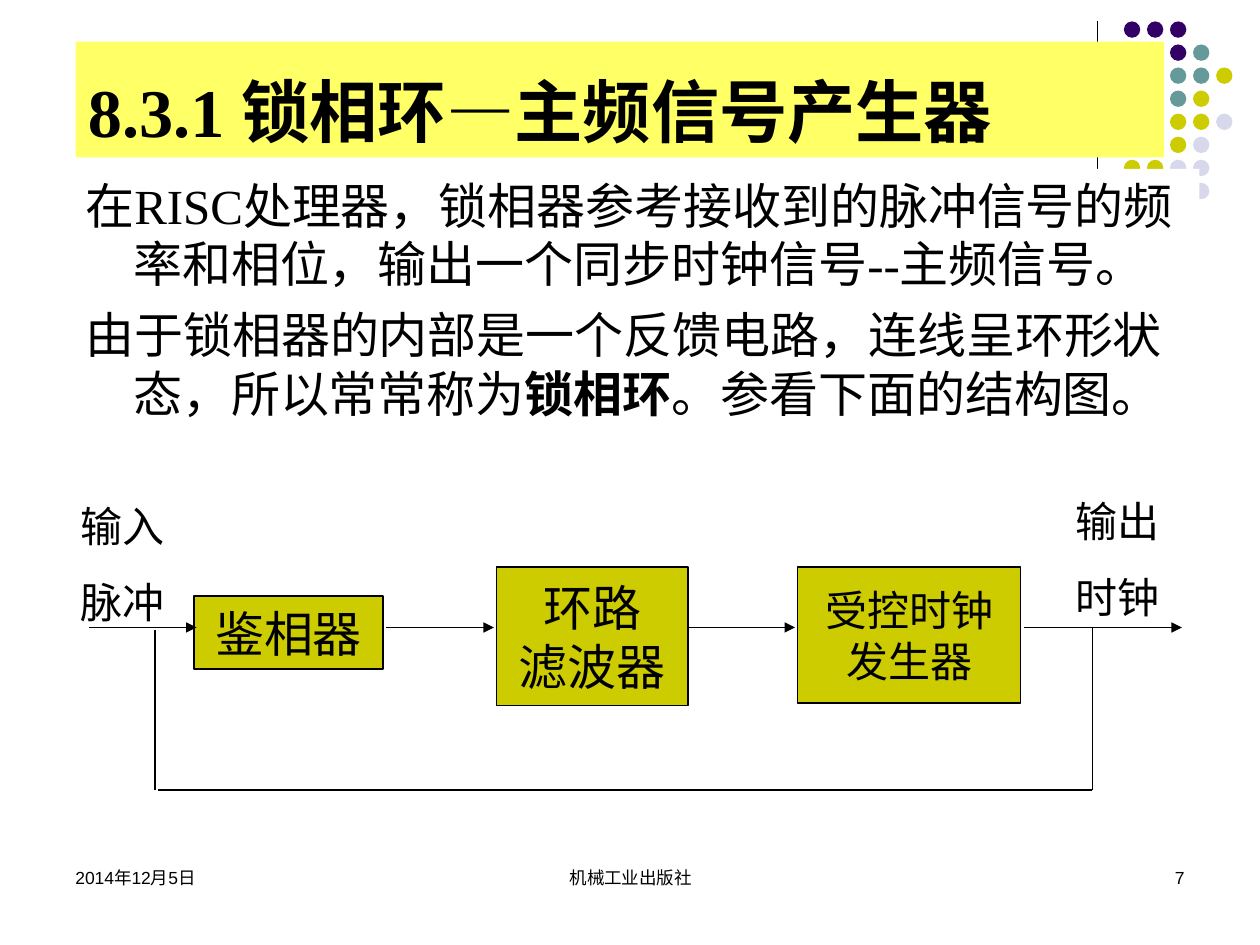
from pptx import Presentation
from pptx.dml.color import RGBColor
from pptx.enum.lang import MSO_LANGUAGE_ID
from pptx.enum.shapes import MSO_CONNECTOR, MSO_SHAPE
from pptx.enum.text import MSO_ANCHOR, PP_ALIGN
from pptx.oxml.ns import qn
from pptx.util import Inches, Pt
from lxml.etree import SubElement

BLACK, WHITE, YELLOW, OLIVE = "000000", "FFFFFF", "FFFF66", "CCCC00"
DOT_COLORS = {"P": "330066", "T": "669999", "Y": OLIVE, "L": "D8D8EC"}
DOT_ROWS = ["PPP..", "PPPT.", ".PTTY", ".TTY.", ".TYYL", ".YYL.", "YYLL.", "...L."]
FLOW_Y, RETURN_Y = 4.98, 6.27
SERIF = "Times New Roman"


def rgb(color):
    return RGBColor.from_string(color)


def set_attrs(target, values):
    for name, value in values.items():
        setattr(target, name, value)


def add_text(sp, paragraphs, size, font="Arial", align=PP_ALIGN.LEFT,
             anchor=MSO_ANCHOR.TOP, bold=False, wrap=True, gap=0, hanging=0):
    """Each paragraph is a list of runs; each run is (text, bold) or plain text."""
    tf = sp.text_frame
    set_attrs(tf, {"word_wrap": wrap, "vertical_anchor": anchor})
    for i, runs in enumerate(paragraphs):
        p = tf.paragraphs[0] if i == 0 else tf.add_paragraph()
        p.alignment = align
        if i and gap:
            p.space_before = Pt(gap)
        if hanging:
            pPr = p._p.get_or_add_pPr()
            pPr.set("marL", str(Inches(hanging)))
            pPr.set("indent", str(-Inches(hanging)))
            pPr.set("hangingPunct", "0")  # keep punctuation inside the margin
        for run in runs:
            text, run_bold = run if isinstance(run, tuple) else (run, bold)
            r = p.add_run()
            r.text = text
            set_attrs(r.font, {"size": Pt(size), "name": font, "bold": run_bold,
                               "language_id": MSO_LANGUAGE_ID.SIMPLIFIED_CHINESE})
            r.font.color.rgb = rgb(BLACK)


def add_shape(s, x, y, w, h, fill, kind=MSO_SHAPE.RECTANGLE, line=None):
    sp = s.shapes.add_shape(kind, Inches(x), Inches(y), Inches(w), Inches(h))
    sp.shadow.inherit = False
    sp.fill.solid()
    sp.fill.fore_color.rgb = rgb(fill)
    if line:
        sp.line.color.rgb = rgb(line)
        sp.line.width = Pt(0.75)
    else:
        sp.line.fill.background()
    return sp


def add_textbox(s, x, y, w, h, paragraphs, size, **fmt):
    sp = s.shapes.add_textbox(Inches(x), Inches(y), Inches(w), Inches(h))
    add_text(sp, paragraphs, size, **fmt)


def add_line(s, x1, y1, x2, y2, width=1, arrow=False):
    cx = s.shapes.add_connector(MSO_CONNECTOR.STRAIGHT, Inches(x1), Inches(y1),
                                Inches(x2), Inches(y2))
    cx.line.color.rgb = rgb(BLACK)
    cx.line.width = Pt(width)
    if arrow:
        SubElement(cx.line._get_or_add_ln(), qn("a:tailEnd"), type="triangle")
    SubElement(cx._element.spPr, qn("a:effectLst"))


def add_dots(s):
    for row, marks in enumerate(DOT_ROWS):
        for col, mark in enumerate(marks):
            if mark in DOT_COLORS:
                add_shape(s, 8.92 + col * 0.183, 0.17 + row * 0.183, 0.13, 0.13,
                          DOT_COLORS[mark], MSO_SHAPE.OVAL)


def add_diagram(s):
    # Processing blocks
    blocks = [
        (1.54, 4.73, 1.5, 0.58, ["鉴相器"], 28),
        (3.94, 4.5, 1.52, 1.1, ["环路", "滤波器"], 28),
        (6.33, 4.5, 1.77, 1.08, ["受控时钟", "发生器"], 24),
    ]
    for x, y, w, h, lines, size in blocks:
        sp = add_shape(s, x, y, w, h, OLIVE, line=BLACK)
        add_text(sp, [[line] for line in lines], size, align=PP_ALIGN.CENTER,
                 anchor=MSO_ANCHOR.MIDDLE, wrap=False)

    # Signal flow
    for x1, x2, width in [(3.06, 3.92, 1), (5.46, 6.31, 1),
                          (0.71, 1.56, 0.75), (8.13, 9.38, 1)]:
        add_line(s, x1, FLOW_Y, x2, FLOW_Y, width, arrow=True)

    # Feedback loop
    add_line(s, 8.67, FLOW_Y, 8.67, RETURN_Y)
    add_line(s, 8.67, RETURN_Y, 1.25, RETURN_Y)
    add_line(s, 1.23, RETURN_Y, 1.23, 5)

    # Input and output labels
    for x, y, lines in [(8.44, 3.88, ["输出", "时钟"]), (0.54, 3.92, ["输入", "脉冲"])]:
        add_textbox(s, x, y, 0.98, 1.11, [[line] for line in lines], 24, gap=15)


def main():
    prs = Presentation()
    prs.slide_width, prs.slide_height = Inches(10), Inches(7.5)
    s = prs.slides.add_slide(prs.slide_layouts[6])

    # Corner decoration
    add_line(s, 8.71, 0.17, 8.71, 1.83, 0.75)
    add_dots(s)

    # Title and body
    title = add_shape(s, 0.6, 0.33, 8.64, 0.92, YELLOW)
    add_text(title, [["8.3.1 锁相环—主频信号产生器"]], 39, font=SERIF,
             anchor=MSO_ANCHOR.BOTTOM, bold=True)
    body = add_shape(s, 0.58, 1.34, 8.94, 2.24, WHITE)
    add_text(body, [
        ["在RISC处理器，锁相器参考接收到的脉冲信号的频率和相位，"
         "输出一个同步时钟信号--主频信号。"],
        ["由于锁相器的内部是一个反馈电路，连线呈环形状态，所以常常称为",
         ("锁相环", True), "。参看下面的结构图。"],
    ], 28, font=SERIF, gap=7, hanging=0.38)

    add_diagram(s)

    # Footer
    for x, w, text, align in [(3.42, 3.17, "机械工业出版社", PP_ALIGN.CENTER),
                              (7.17, 2.33, "7", PP_ALIGN.RIGHT),
                              (0.5, 2.33, "2014年12月5日", PP_ALIGN.LEFT)]:
        add_textbox(s, x, 6.83, w, 0.5, [[text]], 10, align=align)

    prs.save("out.pptx")


if __name__ == "__main__":
    main()
